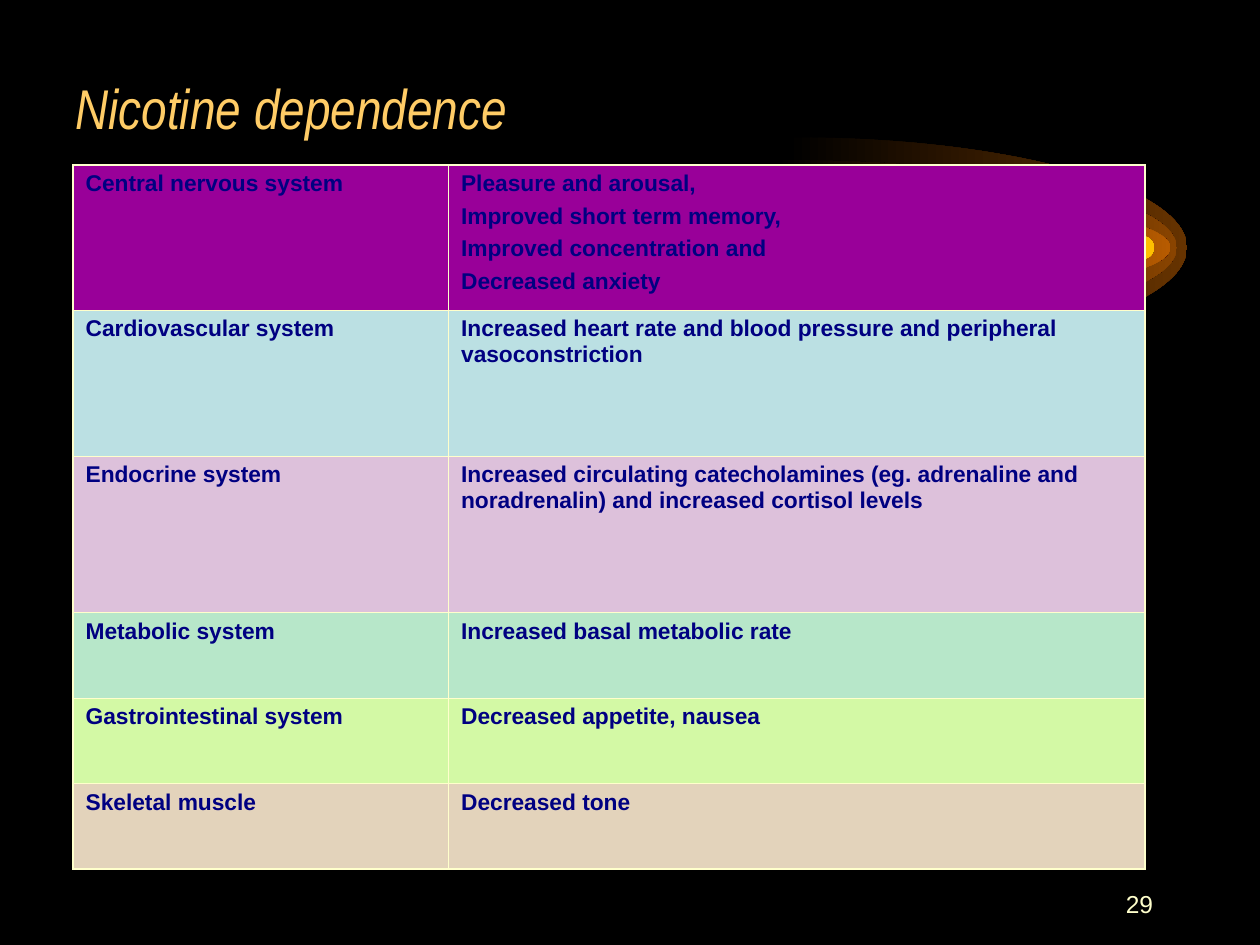
from pptx import Presentation
from pptx.dml.color import RGBColor
from pptx.enum.shapes import MSO_SHAPE
from pptx.enum.text import MSO_ANCHOR, PP_ALIGN
from pptx.oxml.xmlchemy import OxmlElement
from pptx.util import Emu, Pt

ROUND_RECT = MSO_SHAPE.ROUNDED_RECTANGLE
BOTTOM, MIDDLE = MSO_ANCHOR.BOTTOM, MSO_ANCHOR.MIDDLE
LEFT, RIGHT = PP_ALIGN.LEFT, PP_ALIGN.RIGHT

PX = 9144
ARC = 0.55
CREAM, GOLD, NAVY, BLACK = "FFFFCC", "FFCC66", "000081", "000000"
THIN, THICK = 0.45, 1.08
COLUMNS = [298, 553]
EFFECTS = [
    (115, "990099", "Central nervous system",
     ["Pleasure and arousal,", "Improved short term memory,",
      "Improved concentration and", "Decreased anxiety"]),
    (116, "BBE0E3", "Cardiovascular system",
     ["Increased heart rate and blood pressure and peripheral vasoconstriction"]),
    (124, "DDC1DB", "Endocrine system",
     ["Increased circulating catecholamines (eg. adrenaline and noradrenalin) "
      "and increased cortisol levels"]),
    (68, "B7E7C9", "Metabolic system", ["Increased basal metabolic rate"]),
    (68, "D3F9A5", "Gastrointestinal system", ["Decreased appetite, nausea"]),
    (68, "E3D3BB", "Skeletal muscle", ["Decreased tone"]),
]


def px(n):
    """Turn px into EMU."""
    return Emu(round(n * PX))


def rgb(code):
    """Turn a hex string into a colour."""
    return RGBColor.from_string(code)


def set_font(p, name, size, color, bold=False, italic=False):
    """Set the font of a whole paragraph."""
    f = p.font
    f.name, f.size, f.bold, f.italic = name, Pt(size), bold, italic
    f.color.rgb = rgb(color)


def fade(sp, color):
    """Fill a shape from black on the left to a colour on the right."""
    sp.shadow.inherit = False
    sp.line.fill.background()
    sp.fill.gradient()
    sp.fill.gradient_angle = 0
    for stop, code in zip(sp.fill.gradient_stops, (BLACK, color)):
        stop.color.rgb = rgb(code)


def bend(sp, count):
    """Turn the first lines of an outline, three at a time, into curves."""
    lines = sp._element.xpath(".//a:lnTo")
    for i in range(0, 3 * count, 3):
        curve = OxmlElement("a:cubicBezTo")
        lines[i].addprevious(curve)
        for line in lines[i:i + 3]:
            curve.append(line[0])
            line.getparent().remove(line)


def add_half_ellipse(s, x, y, w, h, color):
    """Draw the right half of an ellipse in the given box."""
    left, rx, ry = x + 5, w - 5, h / 2
    mid, right, bottom = y + ry, x + w, y + h
    points = [(left + ARC * rx, y), (right, mid - ARC * ry), (right, mid),
              (right, mid + ARC * ry), (left + ARC * rx, bottom),
              (left, bottom), (x, bottom), (left, mid)]
    fb = s.shapes.build_freeform(px(left), px(y))
    fb.add_line_segments([(px(a), px(b)) for a, b in points], close=True)
    sp = fb.convert_to_shape()
    bend(sp, 2)
    fade(sp, color)


def add_comet(s, x, y, w, h):
    """Draw the glowing comet in the given box."""
    mid = y + h / 2
    for right, height, color in ((0, h, "663300"), (8, 139, "894400"),
                                 (13, 91, "B75B00")):
        add_half_ellipse(s, x + w - 318 - right, mid - height / 2,
                         318, height, color)
    sp = s.shapes.add_shape(ROUND_RECT, px(x), px(mid - 9), px(w - 26), px(18))
    sp.adjustments[0] = 0.5
    fade(sp, "FFBF00")


def add_text(s, x, y, w, h, text, anchor, align, **font):
    """Add a one-line text box."""
    tf = s.shapes.add_textbox(px(x), px(y), px(w), px(h)).text_frame
    tf.word_wrap = True
    tf.vertical_anchor = anchor
    p = tf.paragraphs[0]
    p.text, p.alignment = text, align
    set_font(p, **font)


def set_border(cell, side, width):
    """Draw one side of a cell."""
    ln = OxmlElement(f"a:ln{side}")
    ln.set("w", str(Pt(width)))
    fill, color = OxmlElement("a:solidFill"), OxmlElement("a:srgbClr")
    color.set("val", CREAM)
    fill.append(color)
    ln.append(fill)
    cell._tc.get_or_add_tcPr().append(ln)


def fill_cell(cell, lines, color, outer):
    """Write a cell, with thick borders on its outer sides."""
    for side in "LRTB":
        set_border(cell, side, THICK if side in outer else THIN)
    cell.fill.solid()
    cell.fill.fore_color.rgb = rgb(color)
    tf = cell.text_frame
    tf.text = "\n".join(lines)
    for i, p in enumerate(tf.paragraphs):
        if i:
            p.space_before = Pt(4)
        set_font(p, "Arial", 13, NAVY, bold=True)


def add_effects_table(s, x, y):
    """Add the table of body systems and effects."""
    heights = [row[0] for row in EFFECTS]
    table = s.shapes.add_table(len(EFFECTS), len(COLUMNS), px(x), px(y),
                               px(sum(COLUMNS)), px(sum(heights))).table
    table.first_row = table.horz_banding = False
    for column, width in zip(table.columns, COLUMNS):
        column.width = px(width)
    for i, (height, color, system, effects) in enumerate(EFFECTS):
        table.rows[i].height = px(height)
        ends = "T" * (i == 0) + "B" * (i == len(EFFECTS) - 1)
        fill_cell(table.cell(i, 0), [system], color, "L" + ends)
        fill_cell(table.cell(i, 1), effects, color, "R" + ends)


def main():
    """Build the slide and save it."""
    prs = Presentation()
    prs.slide_width, prs.slide_height = px(1000), px(750)
    s = prs.slides.add_slide(prs.slide_layouts[6])
    s.background.fill.solid()
    s.background.fill.fore_color.rgb = rgb(BLACK)
    add_comet(s, 50, 109, 892, 175)
    add_text(s, 717, 692, 208, 50, "29", MIDDLE, RIGHT,
             name="Arial", size=14, color=CREAM)
    add_text(s, 50, 50, 925, 67, "Nicotine dependence", BOTTOM, LEFT,
             name="Arial Narrow", size=32, color=GOLD, italic=True)
    add_effects_table(s, 58, 131)
    prs.save("out.pptx")


if __name__ == "__main__":
    main()
